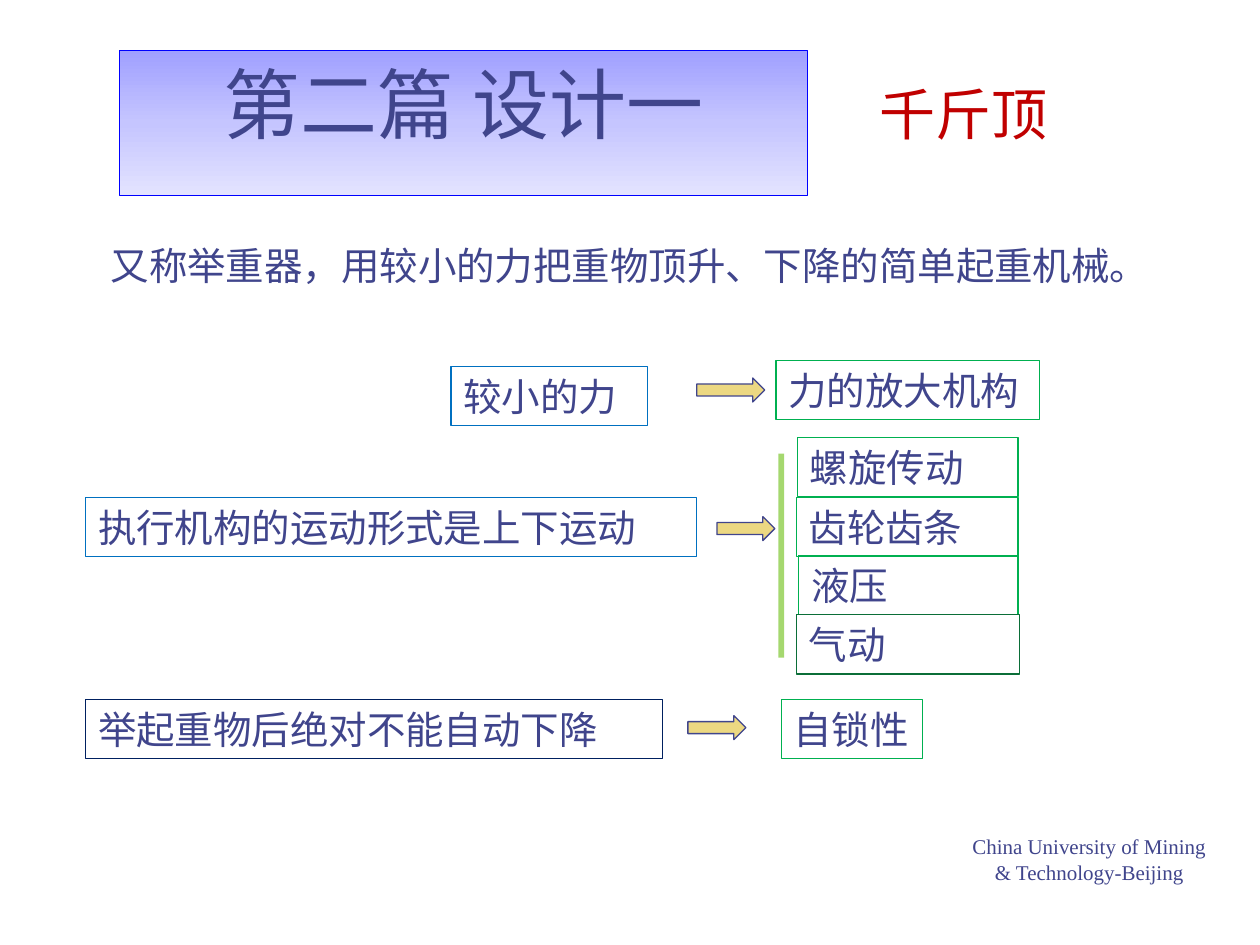
from copy import deepcopy
from dataclasses import dataclass

from lxml import etree
from pptx import Presentation
from pptx.dml.color import RGBColor
from pptx.enum import shapes, text
from pptx.oxml import ns
from pptx.util import Inches, Pt


@dataclass(frozen=True)
class Theme:
    ink: str = "40458C"
    red: str = "C00000"
    blue: str = "0070C0"
    navy: str = "002060"
    green: str = "00B050"
    dark_green: str = "0B6E38"
    bracket: str = "92D050"
    arrow: str = "ECD882"
    title_line: str = "0000FF"
    title_stops: tuple = ("A0A0FF", "C5C5FF", "E3E3FF")
    cjk: str = "Noto Sans CJK SC"
    label: str = "Cabin"
    latin: str = "Times New Roman"
    title_size: int = 44
    topic_size: int = 32
    body_size: int = 22
    footer_size: int = 12
    thin: float = 0.75
    thick: float = 3.25


THEME = Theme()
ROW_HEIGHT = 0.47


def rgb(value):
    return RGBColor.from_string(value)


def outline(shape, color, width=THEME.thin):
    shape.line.color.rgb = rgb(color)
    shape.line.width = Pt(width)


def write(shape, words, size, font, color=THEME.ink, align=text.PP_ALIGN.LEFT):
    frame = shape.text_frame
    frame.word_wrap = True
    frame.auto_size = text.MSO_AUTO_SIZE.NONE
    frame.text = words
    para = frame.paragraphs[0]
    para.alignment = align
    para.font.size = Pt(size)
    para.font.name = font
    para.font.color.rgb = rgb(color)


def add_text(page, place, words, size, font, **style):
    box = page.shapes.add_textbox(*map(Inches, place))
    write(box, words, size, font, **style)
    return box


def add_label(page, left, top, width, words, color):
    box = add_text(page, (left, top, width, ROW_HEIGHT), words,
                   THEME.body_size, THEME.label)
    box.text_frame.vertical_anchor = text.MSO_ANCHOR.MIDDLE
    outline(box, color)


def add_arrow(page, left, top, width):
    arrow = page.shapes.add_shape(shapes.MSO_SHAPE.RIGHT_ARROW,
                                  *map(Inches, (left, top, width, 0.19)))
    arrow.shadow.inherit = False
    arrow.fill.solid()
    arrow.fill.fore_color.rgb = rgb(THEME.arrow)
    outline(arrow, THEME.ink)


def add_bracket(page, x, top, bottom):
    """Draw the translucent bar that gathers the four drive options."""
    bar = page.shapes.add_connector(shapes.MSO_CONNECTOR.STRAIGHT,
                                    *map(Inches, (x, top, x, bottom)))
    outline(bar, THEME.bracket, THEME.thick)
    properties = bar._element.spPr
    color = properties.find(".//" + ns.qn("a:srgbClr"))
    etree.SubElement(color, ns.qn("a:alpha"), val="81000")
    etree.SubElement(properties, ns.qn("a:effectLst"))


def fill_title_gradient(title):
    title.fill.gradient()
    title.fill.gradient_angle = 270
    stop_list = title._element.spPr.find(".//" + ns.qn("a:gsLst"))
    stop_list.insert(1, deepcopy(stop_list[0]))
    stops = title.fill.gradient_stops
    for stop, position, color in zip(stops, (0, 0.5, 1), THEME.title_stops):
        stop.position = position
        stop.color.rgb = rgb(color)


def add_title(page, words):
    title = page.shapes.title
    title.left, title.top, title.width, title.height = map(
        Inches, (0.95, 0.4, 5.46, 1.15))
    geometry = etree.SubElement(title._element.spPr, ns.qn("a:prstGeom"),
                                prst="roundRect")
    etree.SubElement(geometry, ns.qn("a:avLst"))
    fill_title_gradient(title)
    outline(title, THEME.title_line)
    write(title, words, THEME.title_size, THEME.cjk,
          align=text.PP_ALIGN.CENTER)
    title.text_frame.vertical_anchor = text.MSO_ANCHOR.TOP


def main():
    deck = Presentation()
    deck.slide_width, deck.slide_height = Inches(10), Inches(7.5)
    page = deck.slides.add_slide(deck.slide_layouts.get_by_name("Title Only"))

    add_title(page, "第二篇 设计一")
    add_text(page, (6.88, 0.58, 1.6, 0.64), "千斤顶",
             THEME.topic_size, THEME.cjk, color=THEME.red)
    add_text(page, (0.78, 1.87, 8.46, ROW_HEIGHT),
             "又称举重器，用较小的力把重物顶升、下降的简单起重机械。",
             THEME.body_size, THEME.cjk)

    for label in (
        (3.58, 2.91, 1.56, "较小的力", THEME.blue),
        (0.68, 3.95, 4.85, "执行机构的运动形式是上下运动", THEME.blue),
        (0.68, 5.55, 4.58, "举起重物后绝对不能自动下降", THEME.navy),
        (6.16, 2.86, 2.09, "力的放大机构", THEME.green),
        (6.33, 3.47, 1.75, "螺旋传动", THEME.green),
        (6.32, 3.95, 1.76, "齿轮齿条", THEME.green),
        (6.34, 4.41, 1.74, "液压", THEME.green),
        (6.32, 4.88, 1.77, "气动", THEME.dark_green),
        (6.2, 5.55, 1.12, "自锁性", THEME.green),
    ):
        add_label(page, *label)

    for arrow in ((5.53, 3, 0.54), (5.69, 4.1, 0.46), (5.46, 5.68, 0.46)):
        add_arrow(page, *arrow)
    add_bracket(page, 6.2, 3.6, 5.22)

    add_text(page, (7.61, 6.57, 2.07, 0.33),
             "China University of Mining & Technology-Beijing",
             THEME.footer_size, THEME.latin, align=text.PP_ALIGN.CENTER)
    deck.save("out.pptx")


if __name__ == "__main__":
    main()
